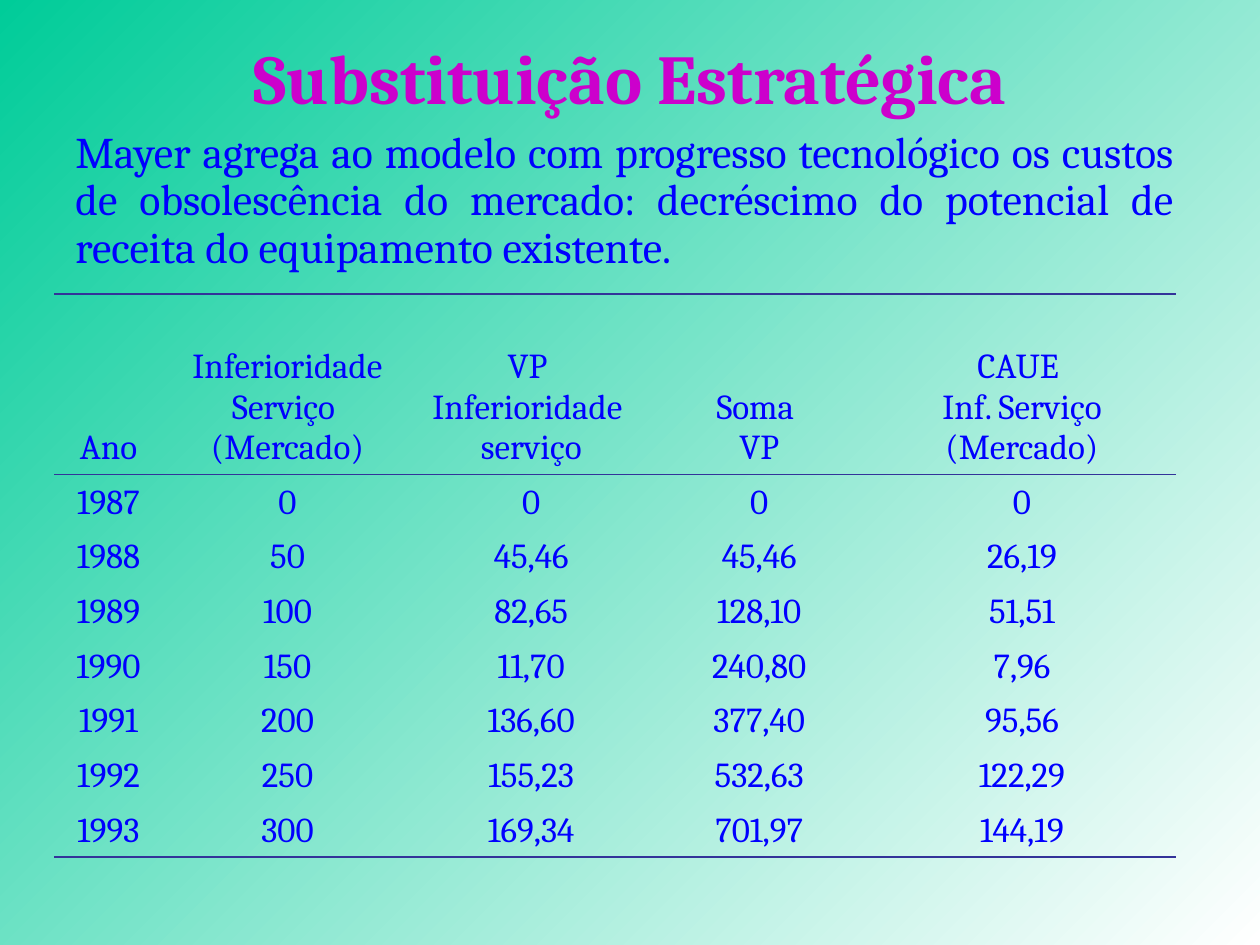
import pptx
import pptx.dml.color
import pptx.enum.text
import pptx.oxml
import pptx.oxml.ns
import pptx.util

Pt = pptx.util.Pt
ALIGN = pptx.enum.text.PP_ALIGN
ANCHOR = pptx.enum.text.MSO_ANCHOR

# Content
TITLE = "Substituição Estratégica"
INTRO = (
    "Mayer agrega ao modelo com progresso tecnológico os custos de obsolescência "
    "do mercado: decréscimo do potencial de receita do equipamento existente."
)
HEADER = ["Ano", "Inferioridade\nServiço \n(Mercado)", "VP \nInferioridade \nserviço",
          "Soma \nVP", "CAUE \nInf. Serviço\n(Mercado)"]
RECORDS = [
    ("1987", "0", "0", "0", "0"),
    ("1988", "50", "45,46", "45,46", "26,19"),
    ("1989", "100", "82,65", "128,10", "51,51"),
    ("1990", "150", "11,70", "240,80", "7,96"),
    ("1991", "200", "136,60", "377,40", "95,56"),
    ("1992", "250", "155,23", "532,63", "122,29"),
    ("1993", "300", "169,34", "701,97", "144,19"),
]

# Format values
COLORS = {"title": "CC00CC", "text": "0000FF", "rule": "333399",
          "start": "00CC99", "end": "FFFFFF"}
FONT = "Cambria"
TITLE_AREA = (36, 9.4, 648, 68.4)
INTRO_AREA = (36, 71.3, 641.5, 90.7)
TABLE_LEFT, TABLE_TOP = 31, 168
COLUMN_WIDTHS = [62, 142.6, 136, 124.6, 175.7]
HEADER_HEIGHT, RECORD_HEIGHT = 103.2, 31
RULE_WIDTH = 1.08


def rgb(name):
    return pptx.dml.color.RGBColor.from_string(COLORS[name])


def apply(target, values):
    for name, value in values.items():
        setattr(target, name, value)


def write(frame, text, size, color, bold=False, **paragraph_format):
    frame.text = text
    for para in frame.paragraphs:
        apply(para, paragraph_format)
        for span in para.runs:
            apply(span.font, {"name": FONT, "size": Pt(size), "bold": bold})
            span.font.color.rgb = rgb(color)


def place(shape, area):
    names = ("left", "top", "width", "height")
    apply(shape, dict(zip(names, map(Pt, area))))


def set_borders(cell, ruled_sides):
    properties = cell._tc.get_or_add_tcPr()
    namespace = pptx.oxml.ns.nsdecls("a")
    for side in "LRTB":
        if side in ruled_sides:
            line = f'<a:solidFill><a:srgbClr val="{COLORS["rule"]}"/></a:solidFill>'
        else:
            line = "<a:noFill/>"
        properties.append(pptx.oxml.parse_xml(
            f'<a:ln{side} {namespace} w="{int(Pt(RULE_WIDTH))}">{line}</a:ln{side}>'))


def add_background(page):
    fill = page.background.fill
    fill.gradient()
    fill.gradient_angle = 315
    for stop, position, name in zip(fill.gradient_stops, (0, 1), ("start", "end")):
        stop.position = position
        stop.color.rgb = rgb(name)


def add_table(page):
    rows = [HEADER, *RECORDS]
    heights = [HEADER_HEIGHT] + [RECORD_HEIGHT] * len(RECORDS)
    frame = page.shapes.add_table(
        len(rows), len(HEADER), Pt(TABLE_LEFT), Pt(TABLE_TOP),
        Pt(sum(COLUMN_WIDTHS)), Pt(sum(heights)))
    table = frame.table
    apply(table, {"first_row": False, "horz_banding": False})
    for column, width in zip(table.columns, COLUMN_WIDTHS):
        column.width = Pt(width)
    # Rules above and below the header, and under the last record
    ruled = {0: "TB", 1: "T", len(rows) - 1: "B"}
    for index, (values, height) in enumerate(zip(rows, heights)):
        table.rows[index].height = Pt(height)
        for cell, value in zip(table.rows[index].cells, values):
            write(cell.text_frame, value, 20, "text", alignment=ALIGN.CENTER)
            cell.vertical_anchor = ANCHOR.BOTTOM
            set_borders(cell, ruled.get(index, ""))
            cell.fill.background()


def main():
    deck = pptx.Presentation()
    apply(deck, {"slide_width": Pt(720), "slide_height": Pt(540)})
    page = deck.slides.add_slide(deck.slide_layouts[5])
    add_background(page)

    # Title
    title = page.shapes.title
    place(title, TITLE_AREA)
    write(title.text_frame, TITLE, 40, "title", bold=True, alignment=ALIGN.CENTER)
    apply(title.text_frame, {"vertical_anchor": ANCHOR.MIDDLE, "word_wrap": True,
                             "auto_size": pptx.enum.text.MSO_AUTO_SIZE.NONE})

    # Introduction
    intro = page.shapes.add_textbox(*map(Pt, INTRO_AREA))
    intro.text_frame.word_wrap = True
    write(intro.text_frame, INTRO, 25, "text",
          alignment=ALIGN.JUSTIFY, line_spacing=0.9)

    add_table(page)
    deck.save("out.pptx")


if __name__ == "__main__":
    main()
